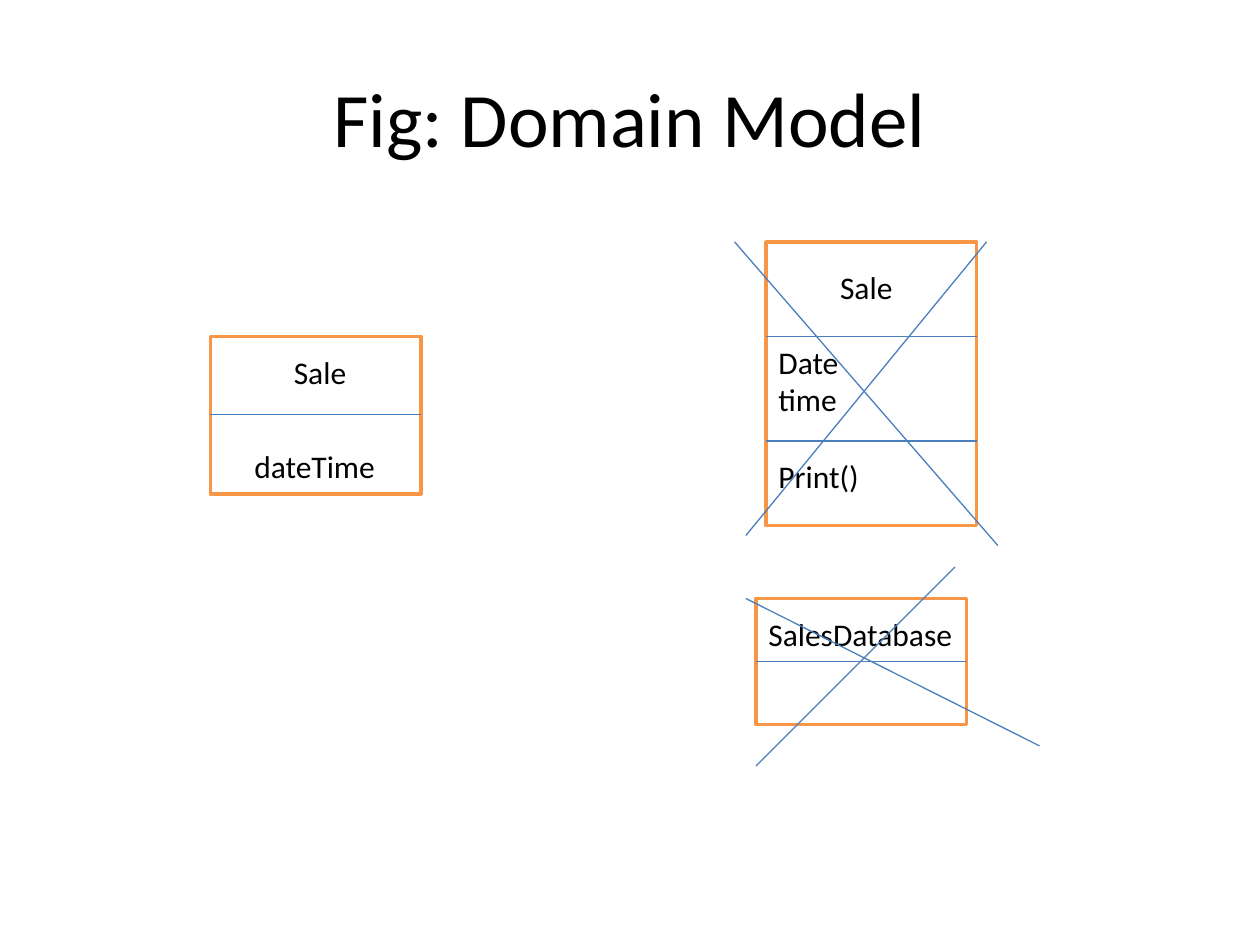
from dataclasses import dataclass

from lxml import etree
from pptx import Presentation
from pptx.dml.color import RGBColor
from pptx.enum.shapes import MSO_CONNECTOR, MSO_SHAPE
from pptx.enum.text import MSO_ANCHOR, PP_ALIGN
from pptx.oxml.ns import qn
from pptx.util import Inches, Pt

RECTANGLE = MSO_SHAPE.RECTANGLE
STRAIGHT = MSO_CONNECTOR.STRAIGHT
LEFT, CENTER = PP_ALIGN.LEFT, PP_ALIGN.CENTER
TOP, MIDDLE = MSO_ANCHOR.TOP, MSO_ANCHOR.MIDDLE
BLANK_LAYOUT = 6


@dataclass(frozen=True)
class Theme:
    font: str = "Calibri"
    ink: RGBColor = RGBColor(0, 0, 0)
    paper: RGBColor = RGBColor(255, 255, 255)
    border: RGBColor = RGBColor(0xF7, 0x96, 0x46)
    stroke: RGBColor = RGBColor(0x4B, 0x7E, 0xBC)
    title_size: float = 44
    label_size: float = 18
    border_width: float = 2
    stroke_width: float = 0.75


class DiagramPage:
    """Draws class diagram elements on one page in a shared theme."""

    def __init__(self, page, theme):
        self.page = page
        self.theme = theme

    def text(self, lines, left, top, width, height, align=LEFT, anchor=TOP, size=None):
        box = self.page.shapes.add_textbox(*map(Inches, (left, top, width, height)))
        frame = box.text_frame
        frame.word_wrap = True
        frame.vertical_anchor = anchor
        for index, line in enumerate(lines):
            para = frame.add_paragraph() if index else frame.paragraphs[0]
            para.alignment = align
            span = para.add_run()
            span.text = line
            span.font.name = self.theme.font
            span.font.size = Pt(size or self.theme.label_size)
            span.font.color.rgb = self.theme.ink

    def line(self, start_x, start_y, end_x, end_y):
        ends = map(Inches, (start_x, start_y, end_x, end_y))
        connector = self.page.shapes.add_connector(STRAIGHT, *ends)
        connector.line.color.rgb = self.theme.stroke
        connector.line.width = Pt(self.theme.stroke_width)
        etree.SubElement(connector._element.spPr, qn("a:effectLst"))

    def class_box(self, left, top, width, height, dividers):
        box = self.page.shapes.add_shape(
            RECTANGLE, *map(Inches, (left, top, width, height)))
        box.shadow.inherit = False
        box.fill.solid()
        box.fill.fore_color.rgb = self.theme.paper
        box.line.color.rgb = self.theme.border
        box.line.width = Pt(self.theme.border_width)
        for divider in dividers:
            self.line(left, divider, left + width, divider)


def main():
    theme = Theme()
    deck = Presentation()
    deck.slide_width, deck.slide_height = Inches(10), Inches(7.5)
    diagram = DiagramPage(deck.slides.add_slide(deck.slide_layouts[BLANK_LAYOUT]), theme)

    diagram.text(["Fig: Domain Model"], 0.5, 0.3, 9, 1.25, CENTER, MIDDLE, theme.title_size)

    box_width = 1.67
    diagram.class_box(1.67, 2.67, box_width, 1.25, [3.29])
    diagram.class_box(6, 4.75, box_width, 1, [5.25])
    diagram.class_box(6.08, 1.92, box_width, 2.25, [2.67, 3.5])

    diagram.text(["Sale"], 1.83, 2.75, 1.42, 0.42, CENTER)
    diagram.text(["dateTime"], 1.92, 3.5, 1.25, 0.42)
    diagram.text(["SalesDatabase"], 6, 4.83, 1.83, 0.4)
    diagram.text(["Sale"], 6.25, 2.08, 1.25, 0.42, CENTER)
    diagram.text(["Date", "time"], 6.08, 2.67, 1.5, 0.71)
    diagram.text(["Print()"], 6.08, 3.58, 1.17, 0.4)

    cross_strokes = [
        (5.83, 1.92, 7.92, 4.33),
        (5.92, 4.25, 7.83, 1.92),
        (5.92, 4.75, 8.25, 5.92),
        (6, 6.08, 7.58, 4.5),
    ]
    for stroke in cross_strokes:
        diagram.line(*stroke)

    deck.save("out.pptx")


if __name__ == "__main__":
    main()
